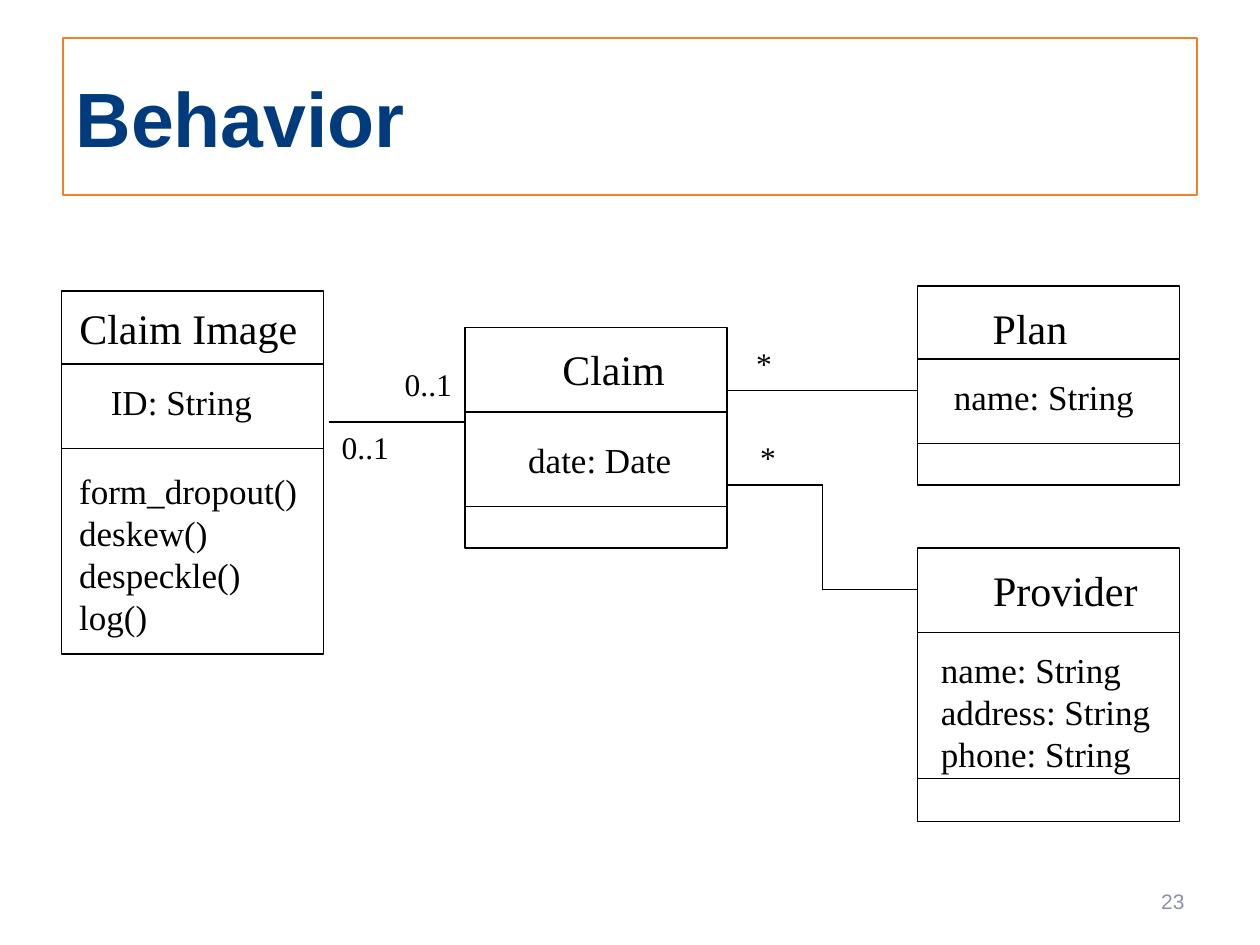
from lxml import etree
from pptx import Presentation
from pptx.dml.color import RGBColor
from pptx.enum.shapes import MSO_CONNECTOR, MSO_SHAPE
from pptx.enum.text import MSO_ANCHOR, MSO_AUTO_SIZE, PP_ALIGN
from pptx.oxml.ns import qn
from pptx.util import Inches, Pt

LEFT, CENTER, RIGHT = PP_ALIGN.LEFT, PP_ALIGN.CENTER, PP_ALIGN.RIGHT
MIDDLE, TOP = MSO_ANCHOR.MIDDLE, MSO_ANCHOR.TOP
FIT, NO_FIT = MSO_AUTO_SIZE.SHAPE_TO_FIT_TEXT, MSO_AUTO_SIZE.NONE
RECTANGLE, STRAIGHT = MSO_SHAPE.RECTANGLE, MSO_CONNECTOR.STRAIGHT
TITLE_ONLY = 5
CLASS_WIDTH = 2.08


def color(value):
    return RGBColor.from_string(value)


def assign(target, values):
    for name, value in values.items():
        setattr(target, name, value)


class Diagram:
    ink = "000000"
    serif = "Times New Roman"
    sans = "Arial"

    def __init__(self, slide):
        self.slide = slide

    def fill_text(self, frame, wording, size, align, font, ink, bold=False):
        frame.text = wording
        for paragraph in frame.paragraphs:
            paragraph.alignment = align
            assign(paragraph.font, {"name": font, "size": Pt(size), "bold": bold})
            paragraph.font.color.rgb = color(ink)

    def outline(self, line, ink, width):
        line.color.rgb = color(ink)
        line.width = Pt(width)

    def title(self, wording, box):
        heading = self.slide.shapes.title
        assign(heading, dict(zip(("left", "top", "width", "height"), map(Inches, box))))
        self.outline(heading.line, "F47F24", 1)
        assign(heading.text_frame, {"vertical_anchor": MIDDLE, "auto_size": NO_FIT})
        self.fill_text(heading.text_frame, wording, 44, LEFT, self.sans, "003C7D", True)

    def label(self, wording, box, size, align=CENTER):
        frame = self.slide.shapes.add_textbox(*map(Inches, box)).text_frame
        assign(frame, {"word_wrap": False, "auto_size": FIT, "vertical_anchor": TOP})
        self.fill_text(frame, wording, size, align, self.serif, self.ink)

    def page_number(self, wording, box):
        frame = self.slide.shapes.add_textbox(*map(Inches, box)).text_frame
        assign(frame, {"word_wrap": True, "vertical_anchor": MIDDLE})
        self.fill_text(frame, wording, 12, RIGHT, self.sans, "8C92AA")

    def line(self, start, end):
        link = self.slide.shapes.add_connector(STRAIGHT, *map(Inches, start + end))
        self.outline(link.line, self.ink, 0.75)
        etree.SubElement(link._element.spPr, qn("a:effectLst"))

    def association(self, points):
        for start, end in zip(points, points[1:]):
            self.line(start, end)

    def class_box(self, left, top, height, dividers):
        box = self.slide.shapes.add_shape(
            RECTANGLE, *map(Inches, (left, top, CLASS_WIDTH, height)))
        box.shadow.inherit = False
        box.fill.background()
        self.outline(box.line, self.ink, 0.75)
        for y in dividers:
            self.line((left, y), (left + CLASS_WIDTH, y))


deck = Presentation()
assign(deck, {"slide_width": Inches(10), "slide_height": Inches(7.5)})
diagram = Diagram(deck.slides.add_slide(deck.slide_layouts[TITLE_ONLY]))
diagram.title("Behavior", (0.5, 0.3, 9, 1.25))
diagram.page_number("23", (7.17, 6.95, 2.33, 0.4))

for claim_class in (
    (0.49, 2.31, 2.88, (2.89, 3.56)),
    (3.69, 2.6, 1.75, (3.27, 4.02)),
    (7.28, 2.27, 1.58, (2.85, 3.52)),
    (7.28, 4.35, 2.17, (5.02, 6.18)),
):
    diagram.class_box(*claim_class)

for points in (
    [(2.61, 3.35), (3.69, 3.35)],
    [(5.78, 3.1), (7.28, 3.1)],
    [(5.78, 3.85), (6.53, 3.85), (6.53, 4.68), (7.28, 4.68)],
):
    diagram.association(points)

for class_name, left, top, width in (
    ("Claim Image", 0.53, 2.35, 1.93),
    ("Claim", 4.36, 2.68, 1.02),
    ("Plan", 7.78, 2.35, 0.79),
    ("Provider", 7.78, 4.43, 1.35),
):
    diagram.label(class_name, (left, top, width, 0.5), 24)

for attribute, left, top, width in (
    ("ID: String", 0.78, 2.97, 1.32),
    ("date: Date", 4.09, 3.43, 1.34),
    ("name: String", 7.47, 2.93, 1.63),
):
    diagram.label(attribute, (left, top, width, 0.43), 20)

for members, box in (
    (("form_dropout()", "deskew()", "despeckle()", "log()"), (0.53, 3.68, 1.93, 1.43)),
    (("name: String", "address: String", "phone: String"), (7.37, 5.1, 1.86, 1.1)),
):
    diagram.label("\n".join(members), box, 20, LEFT)

for multiplicity, left, top, width in (
    ("0..1", 2.61, 3.35, 0.58),
    ("0..1", 3.11, 2.85, 0.58),
    ("*", 5.9, 2.68, 0.33),
    ("*", 5.93, 3.43, 0.33),
):
    diagram.label(multiplicity, (left, top, width, 0.4), 18)

deck.save("out.pptx")
